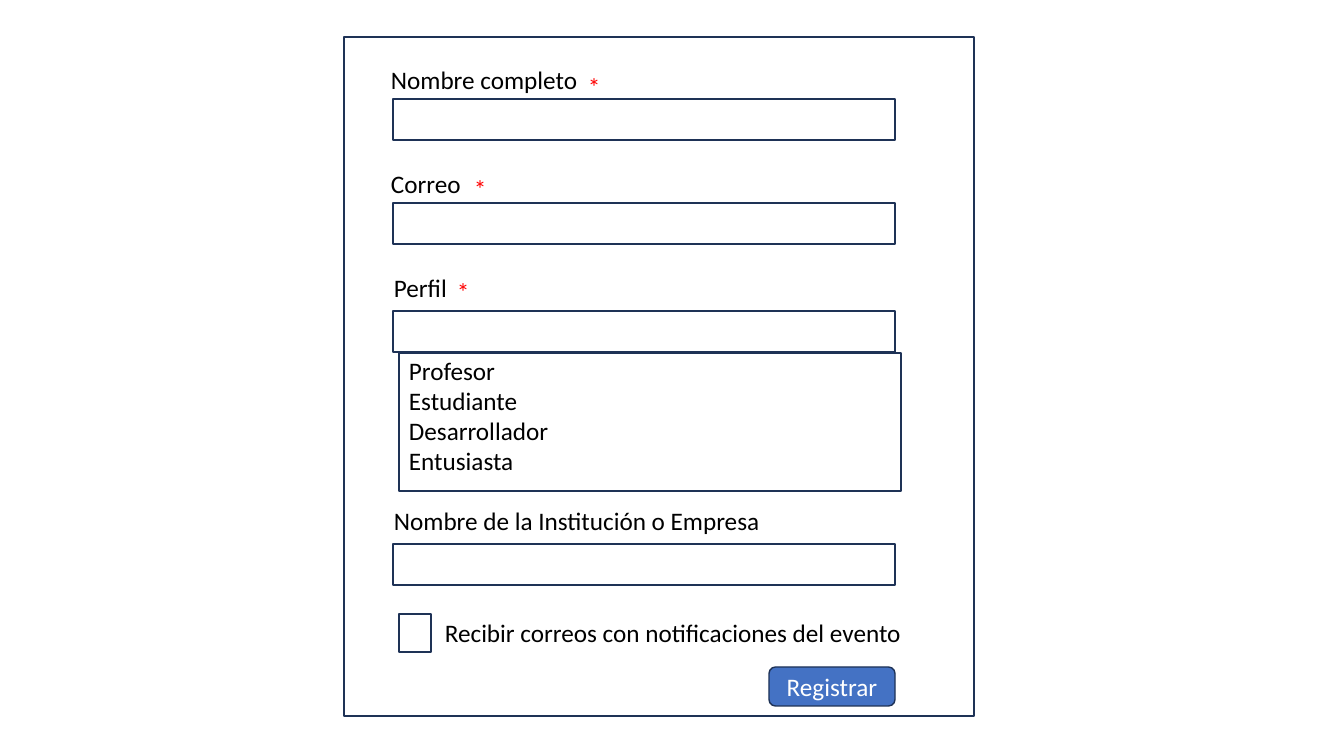
from pptx import Presentation, util as u
from pptx.dml import color
from pptx.enum import shapes, text

SCALE = 914400 / 100.8  # EMU per pixel


def px(value):
    return u.Emu(round(value * SCALE))


def rgb(value):
    return color.RGBColor.from_string(value)


class Form:
    """Holds the form style and the slide being drawn."""
    font, size = "Calibri", 18
    ink, border, accent = "000000", "1E3256", "4472C4"
    required, light = "FF0000", "FFFFFF"

    def __init__(self, slide):
        self.slide = slide

    def set_text(self, text_frame, content, ink):
        text_frame.text = content
        for paragraph in text_frame.paragraphs:
            for run in paragraph.runs:
                run.font.name = self.font
                run.font.size = u.Pt(self.size)
                run.font.color.rgb = rgb(ink)

    def label(self, left, top, width, content, height=40, ink=ink):
        box = self.slide.shapes.add_textbox(px(left), px(top), px(width), px(height))
        box.text_frame.word_wrap = False
        box.text_frame.auto_size = text.MSO_AUTO_SIZE.SHAPE_TO_FIT_TEXT
        self.set_text(box.text_frame, content, ink)

    def box(self, left, top, width, height, fill=None,
            kind=shapes.MSO_SHAPE.RECTANGLE):
        shape = self.slide.shapes.add_shape(kind, px(left), px(top), px(width), px(height))
        shape.shadow.inherit = False
        shape.line.color.rgb = rgb(self.border)
        shape.line.width = u.Pt(1)
        if fill:
            shape.fill.solid()
            shape.fill.fore_color.rgb = rgb(fill)
        else:
            shape.fill.background()
        return shape

    def button(self, left, top, width, height, content):
        shape = self.box(left, top, width, height, self.accent,
                         shapes.MSO_SHAPE.ROUNDED_RECTANGLE)
        frame = shape.text_frame
        frame.vertical_anchor = text.MSO_ANCHOR.MIDDLE
        self.set_text(frame, content, self.light)
        frame.paragraphs[0].alignment = text.PP_ALIGN.CENTER


presentation = Presentation()
presentation.slide_width, presentation.slide_height = px(1344), px(756)
slide = presentation.slides.add_slide(presentation.slide_layouts[6])
form = Form(slide)

# Fields: label, label left, top and width, input top
FIELD_LEFT, FIELD_WIDTH, FIELD_HEIGHT = 393, 502, 41
fields = [
    ("Nombre completo", 381, 59, 209, 99),
    ("Correo", 381, 163, 91, 203),
    ("Perfil", 384, 267, 74, 311),
    ("Nombre de la Institución o Empresa", 384, 500, 387, 544),
]
for name, left, top, width, input_top in fields:
    form.label(left, top, width, name)
    form.box(FIELD_LEFT, input_top, FIELD_WIDTH, FIELD_HEIGHT)

# Open profile list
form.box(399, 353, FIELD_WIDTH, 138)
profiles = ["Profesor", "Estudiante", "Desarrollador", "Entusiasta"]
form.label(399, 350, 161, "\n".join(profiles), height=163)

# Notification checkbox
form.box(399, 614, 32, 38)
form.label(435, 612, 482, "Recibir correos con notificaciones del evento")

# Form frame
form.box(344, 37, 630, 679)

# Required marks
for left, top in [(578, 66), (464, 168), (447, 271)]:
    form.label(left, top, 33, "*", ink=form.required)

# Submit button
form.button(769, 667, 126, 39, "Registrar")

presentation.save("out.pptx")
